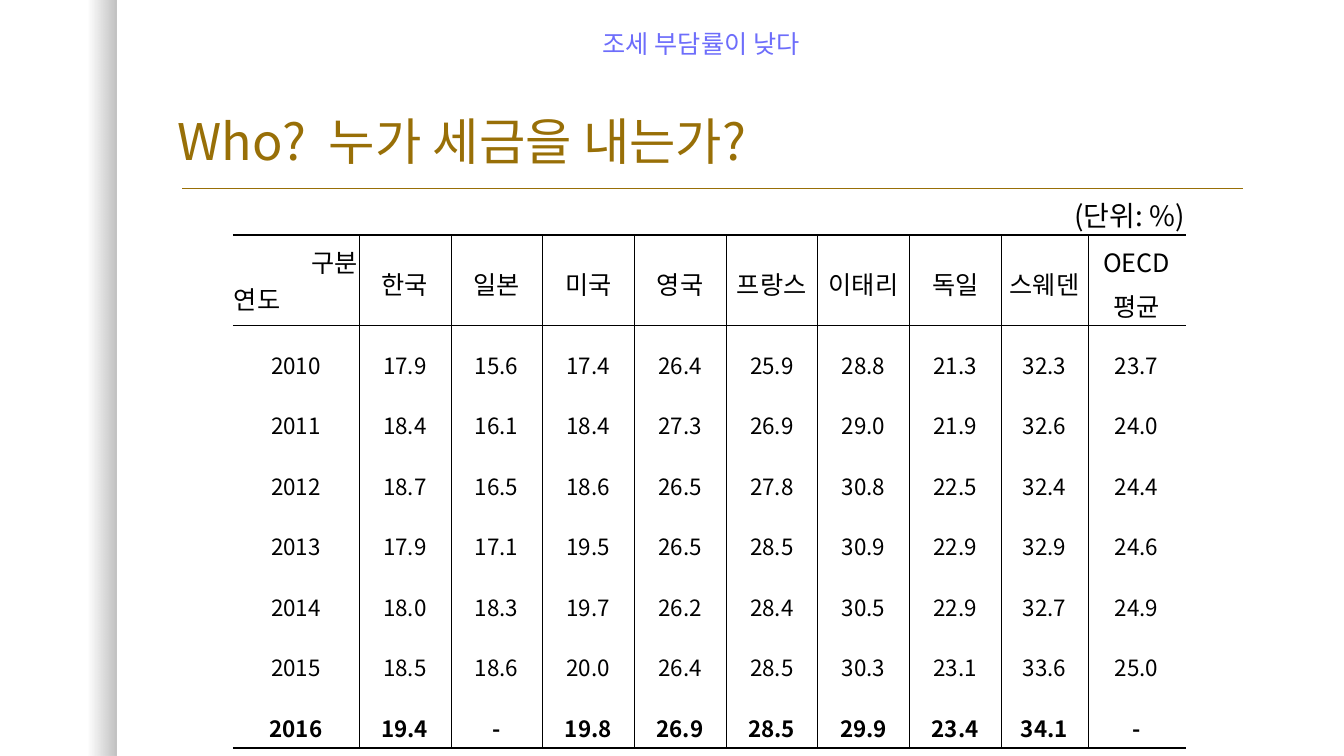
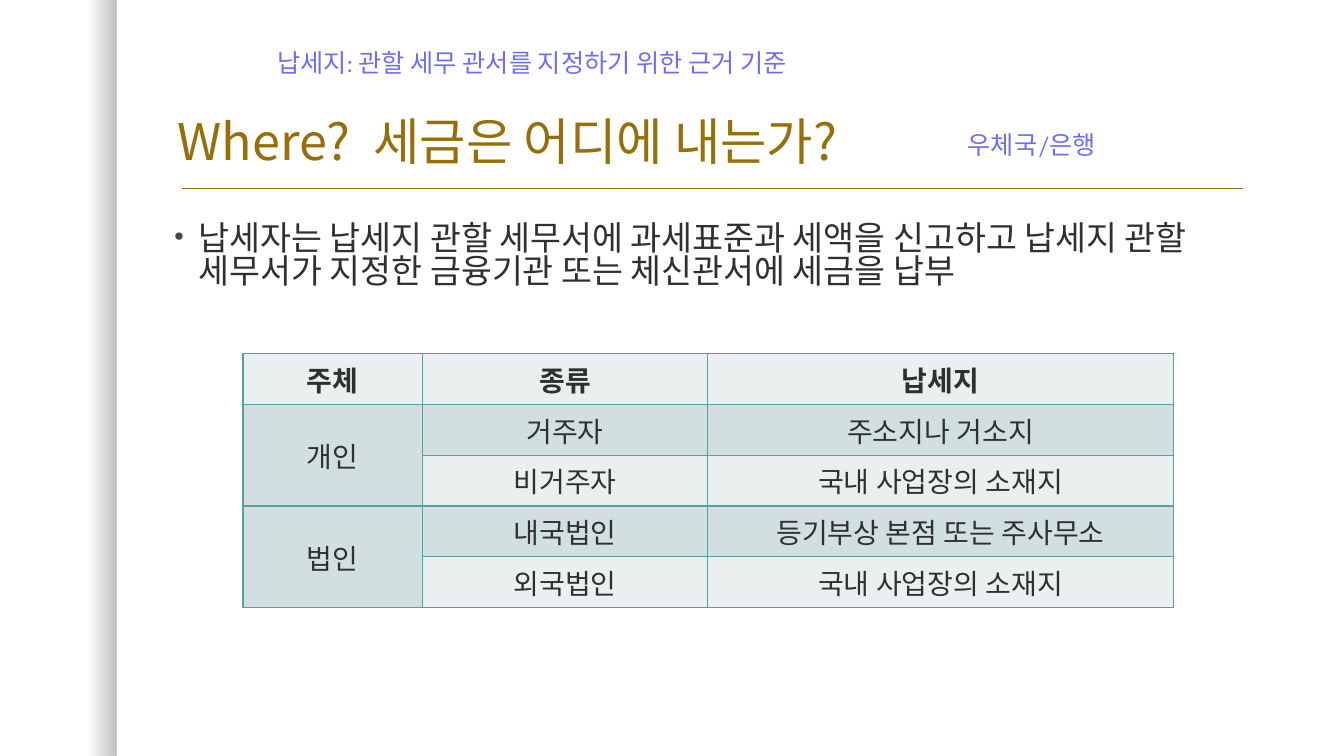
from lxml import etree
from pptx import Presentation
from pptx.dml.color import RGBColor
from pptx.enum.shapes import MSO_CONNECTOR, MSO_SHAPE
from pptx.enum.text import MSO_ANCHOR, MSO_AUTO_SIZE, PP_ALIGN
from pptx.oxml.ns import qn
from pptx.util import Emu, Pt

LEFT, CENTER, RIGHT = PP_ALIGN.LEFT, PP_ALIGN.CENTER, PP_ALIGN.RIGHT
TOP, MIDDLE, BOTTOM = MSO_ANCHOR.TOP, MSO_ANCHOR.MIDDLE, MSO_ANCHOR.BOTTOM
NO_AUTOFIT = MSO_AUTO_SIZE.NONE
RECTANGLE = MSO_SHAPE.RECTANGLE
STRAIGHT = MSO_CONNECTOR.STRAIGHT

EMU_PER_PX = 9144
SLIDE_WIDTH, SLIDE_HEIGHT = 1333, 750
TITLE_AND_CONTENT, TITLE_ONLY = 1, 5
SANS, SERIF = "Noto Sans CJK KR", "Cambria"
COLORS = {
    "gold": "986F07",
    "violet": "6D6DFB",
    "text": "303030",
    "bullet": "454545",
    "black": "000000",
    "teal": "599EA5",
    "light": "EAF0F0",
    "band": "D1DFE1",
}
THIN, THICK = 0.25, 1.7

COUNTRIES = ["한국", "일본", "미국", "영국", "프랑스", "이태리", "독일", "스웨덴", "OECD\v평균"]
TAX_BURDEN = [
    ["2010", "17.9", "15.6", "17.4", "26.4", "25.9", "28.8", "21.3", "32.3", "23.7"],
    ["2011", "18.4", "16.1", "18.4", "27.3", "26.9", "29.0", "21.9", "32.6", "24.0"],
    ["2012", "18.7", "16.5", "18.6", "26.5", "27.8", "30.8", "22.5", "32.4", "24.4"],
    ["2013", "17.9", "17.1", "19.5", "26.5", "28.5", "30.9", "22.9", "32.9", "24.6"],
    ["2014", "18.0", "18.3", "19.7", "26.2", "28.4", "30.5", "22.9", "32.7", "24.9"],
    ["2015", "18.5", "18.6", "20.0", "26.4", "28.5", "30.3", "23.1", "33.6", "25.0"],
    ["2016", "19.4", "-", "19.8", "26.9", "28.5", "29.9", "23.4", "34.1", "-"],
]
TAX_PLACES = [
    ["주체", "종류", "납세지"],
    ["개인", "거주자", "주소지나 거소지"],
    ["", "비거주자", "국내 사업장의 소재지"],
    ["법인", "내국법인", "등기부상 본점 또는 주사무소"],
    ["", "외국법인", "국내 사업장의 소재지"],
]


def px(value):
    return Emu(value * EMU_PER_PX)


def color(name):
    return RGBColor.from_string(COLORS[name])


def place(shape, left, top, width, height):
    shape.left, shape.top = px(left), px(top)
    shape.width, shape.height = px(width), px(height)


def format_paragraph(paragraph, size, color_name, font=SANS, align=LEFT, bold=False, spacing=None):
    paragraph.alignment = align
    if spacing:
        paragraph.line_spacing = spacing
    for run in paragraph.runs:
        run.font.size = Pt(size)
        run.font.bold = bold
        run.font.name = font
        run.font.color.rgb = color(color_name)
        etree.SubElement(run._r.get_or_add_rPr(), qn("a:ea"), typeface=SANS)


def decorate_master(presentation, slide):
    band = slide.shapes.add_shape(RECTANGLE, 0, 0, px(116), px(SLIDE_HEIGHT))
    band.shadow.inherit = False
    band.line.fill.background()
    band.fill.gradient()
    band.fill.gradient_angle = 0
    for stop, position in zip(band.fill.gradient_stops, (0.75, 1)):
        stop.position = position
        stop.color.rgb = color("black")
    for element, alpha in zip(band.element.spPr.iter(qn("a:srgbClr")), ("0", "25000")):
        etree.SubElement(element, qn("a:alpha"), val=alpha)

    rule = slide.shapes.add_connector(STRAIGHT, px(181), px(187), px(1233), px(187))
    rule.line.color.rgb = color("gold")
    rule.line.width = Pt(1)
    etree.SubElement(rule.element.spPr, qn("a:effectLst"))

    master_tree = presentation.slide_master.shapes.element
    for shape in (rule, band):
        master_tree.insert(2, shape.element)


def add_title(slide, text):
    title = slide.shapes.title
    place(title, 166, 42, 1075, 133)
    text_frame = title.text_frame
    text_frame.text = text
    text_frame.vertical_anchor = BOTTOM
    text_frame.auto_size = NO_AUTOFIT
    format_paragraph(text_frame.paragraphs[0], 36, "gold", spacing=0.9)


def add_body(slide, text):
    body = slide.placeholders[1]
    place(body, 163, 217, 1079, 111)
    text_frame = body.text_frame
    text_frame.text = text
    text_frame.vertical_anchor = TOP
    text_frame.auto_size = NO_AUTOFIT
    paragraph = text_frame.paragraphs[0]
    format_paragraph(paragraph, 24, "text", spacing=0.82)
    paragraph.space_before = Pt(18)
    properties = paragraph._p.get_or_add_pPr()
    properties.set("marL", str(px(24)))
    properties.set("indent", str(px(-24)))
    bullet_color = etree.SubElement(properties, qn("a:buClr"))
    etree.SubElement(bullet_color, qn("a:srgbClr"), val=COLORS["bullet"])
    etree.SubElement(properties, qn("a:buSzPct"), val="80000")
    etree.SubElement(properties, qn("a:buFont"), typeface="Arial")
    etree.SubElement(properties, qn("a:buChar"), char="•")


def add_note(slide, text, left, top, width):
    box = slide.shapes.add_textbox(px(left), px(top), px(width), px(40))
    box.text_frame.word_wrap = True
    box.text_frame.text = text
    format_paragraph(box.text_frame.paragraphs[0], 18, "violet", SERIF)


def add_table(slide, left, top, columns, rows):
    frame = slide.shapes.add_table(
        len(rows), len(columns), px(left), px(top), px(sum(columns)), px(sum(rows)))
    table = frame.table
    table.first_row = table.horz_banding = False
    for column, width in zip(table.columns, columns):
        column.width = px(width)
    for row, height in zip(table.rows, rows):
        row.height = px(height)
    return table


def set_borders(cell, color_name, left=0, right=0, top=0, bottom=0):
    properties = cell._tc.get_or_add_tcPr()
    for tag, width in (("a:lnL", left), ("a:lnR", right), ("a:lnT", top), ("a:lnB", bottom)):
        line = etree.SubElement(properties, qn(tag), w=str(Pt(width)))
        if width:
            fill = etree.SubElement(line, qn("a:solidFill"))
            etree.SubElement(fill, qn("a:srgbClr"), val=COLORS[color_name])
        else:
            etree.SubElement(line, qn("a:noFill"))


def set_cell(cell, text, fill=None, **style):
    cell.text = text
    cell.vertical_anchor = MIDDLE
    for paragraph in cell.text_frame.paragraphs:
        format_paragraph(paragraph, **style)
    if fill:
        cell.fill.solid()
        cell.fill.fore_color.rgb = color(fill)
    else:
        cell.fill.background()


def add_burden_table(slide):
    columns = [125] + [91] * 7 + [86, 97]
    contents = [["(단위: %)"] + [""] * 9, ["구분\n연도"] + COUNTRIES] + TAX_BURDEN
    table = add_table(slide, 231, 179, columns, [42, 74] + [60] * len(TAX_BURDEN))
    last_row, last_column = len(contents) - 1, len(columns) - 1
    horizontal = {0: THICK, 1: THIN, last_row: THICK}
    for row, values in enumerate(contents):
        if row == 0:
            style = {"size": 20, "align": RIGHT, "spacing": 1.3}
        elif row == 1:
            style = {"size": 18, "align": CENTER, "spacing": 1.2}
        else:
            style = {"size": 16, "align": CENTER, "spacing": 1.6, "bold": row == last_row}
        for column, text in enumerate(values):
            cell = table.cell(row, column)
            cell.margin_left = cell.margin_right = px(1)
            cell.margin_top = cell.margin_bottom = px(1)
            set_borders(
                cell, "black",
                left=THIN if row and column else 0,
                right=THIN if row and column < last_column else 0,
                top=horizontal.get(row - 1, 0),
                bottom=horizontal.get(row, 0))
            set_cell(cell, text, color_name="black", **style)
    corner = table.cell(1, 0).text_frame.paragraphs
    for paragraph, align in zip(corner, (RIGHT, LEFT)):
        paragraph.alignment = align
        paragraph.line_spacing = 1.0
    table.cell(0, 0).merge(table.cell(0, last_column))


def add_place_table(slide):
    table = add_table(slide, 241, 351, [178, 283, 462], [47] * len(TAX_PLACES))
    for row, values in enumerate(TAX_PLACES):
        for column, text in enumerate(values):
            cell = table.cell(row, column)
            set_borders(cell, "teal", 1, 1, 1, 1)
            set_cell(cell, text, fill="band" if row % 2 else "light", size=20,
                     color_name="text", font=SERIF, align=CENTER, bold=row == 0)
    for row in (1, 3):
        table.cell(row, 0).merge(table.cell(row + 1, 0))


def build_who_slide(slide):
    add_burden_table(slide)
    add_title(slide, "Who?  누가 세금을 내는가?")
    add_note(slide, "조세 부담률이 낮다", 588, 23, 233)


def build_where_slide(slide):
    add_title(slide, "Where?  세금은 어디에 내는가?")
    add_body(slide, "납세자는 납세지 관할 세무서에 과세표준과 세액을 신고하고 납세지 관할 "
                    "세무서가 지정한 금융기관 또는 체신관서에 세금을 납부")
    add_place_table(slide)
    add_note(slide, "우체국/은행", 950, 123, 181)
    add_note(slide, "납세지: 관할 세무 관서를 지정하기 위한 근거 기준", 265, 42, 606)


def main():
    presentation = Presentation()
    presentation.slide_width = px(SLIDE_WIDTH)
    presentation.slide_height = px(SLIDE_HEIGHT)
    layouts = presentation.slide_layouts
    who_slide = presentation.slides.add_slide(layouts[TITLE_ONLY])
    where_slide = presentation.slides.add_slide(layouts[TITLE_AND_CONTENT])
    decorate_master(presentation, who_slide)
    build_who_slide(who_slide)
    build_where_slide(where_slide)
    presentation.save("out.pptx")


if __name__ == "__main__":
    main()
